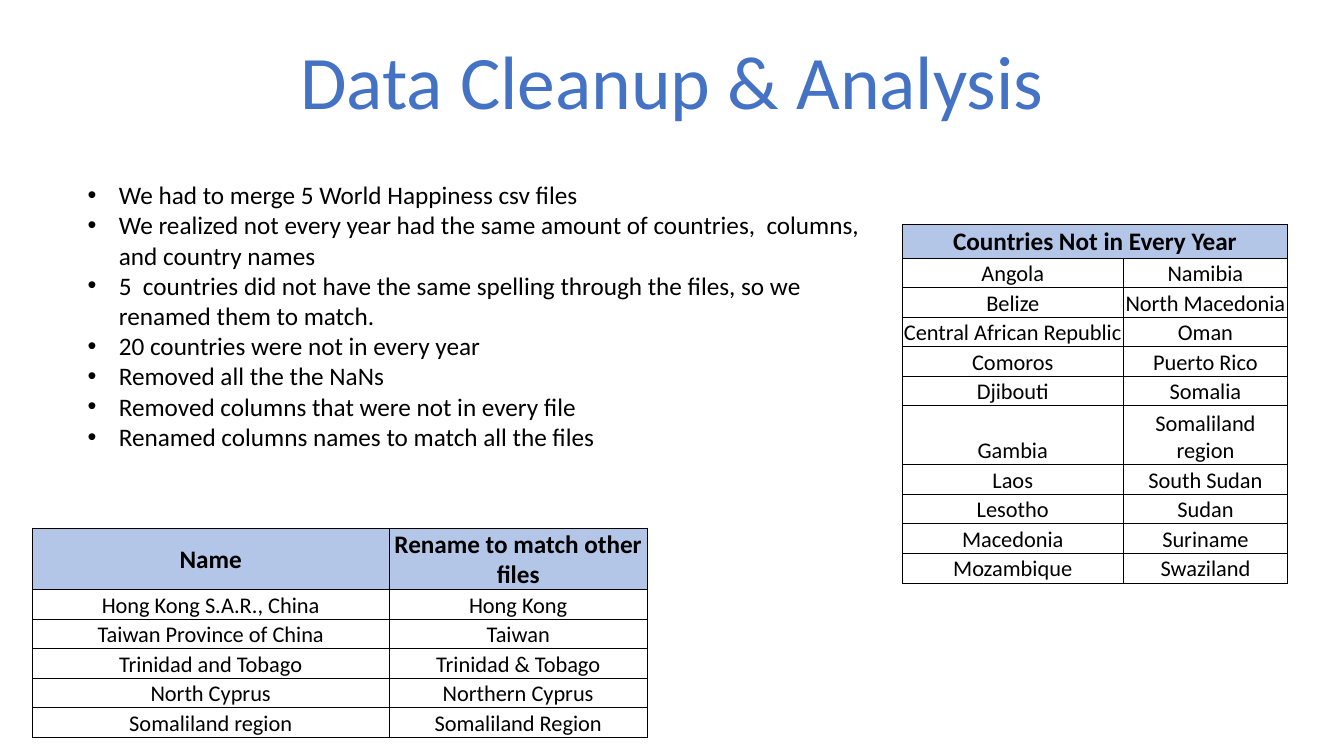
from dataclasses import dataclass

from lxml.etree import SubElement
from pptx import Presentation
from pptx.dml.color import RGBColor
from pptx.enum.text import MSO_ANCHOR, MSO_AUTO_SIZE, PP_ALIGN
from pptx.oxml.ns import qn
from pptx.util import Inches, Pt


@dataclass(frozen=True)
class Theme:
    font: str = "Calibri"
    title: str = "4472C4"
    ink: str = "000000"
    header: str = "B4C6E7"
    title_size: int = 54
    body_size: int = 18
    cell_size: int = 16


theme = Theme()
deck = Presentation()
deck.slide_width = Inches(13.33)
deck.slide_height = Inches(7.5)


def share(across=0, down=0):
    return int(deck.slide_width * across / 100 + deck.slide_height * down / 100)


def write(frame, text, size=theme.body_size, color=theme.ink, bold=False,
          align=PP_ALIGN.LEFT, anchor=MSO_ANCHOR.TOP, bullet=None):
    frame.word_wrap = True
    frame.vertical_anchor = anchor
    for index, line in enumerate(text.split("\n")):
        para = frame.add_paragraph() if index else frame.paragraphs[0]
        para.alignment = align
        span = para.add_run()
        span.text = line
        span.font.name = theme.font
        span.font.size = Pt(size)
        span.font.bold = bold
        span.font.color.rgb = RGBColor.from_string(color)
        if bullet:
            properties = para._p.get_or_add_pPr()
            properties.set("marL", str(Inches(0.31)))
            properties.set("indent", str(-Inches(0.31)))
            SubElement(properties, qn("a:buFont"), typeface="Arial")
            SubElement(properties, qn("a:buChar"), char=bullet)


page = deck.slides.add_slide(deck.slide_layouts[5])
title = page.shapes.title
title.left, title.top = share(across=21.3), share(down=3.73)
title.width, title.height = share(across=57.4), share(down=13.47)
write(title.text_frame, "Data Cleanup & Analysis", size=theme.title_size,
      color=theme.title, align=PP_ALIGN.CENTER, anchor=MSO_ANCHOR.MIDDLE)
title.text_frame.auto_size = MSO_AUTO_SIZE.NONE

steps = """We had to merge 5 World Happiness csv files
We realized not every year had the same amount of countries,  columns, and country names
5  countries did not have the same spelling through the files, so we renamed them to match.
20 countries were not in every year
Removed all the the NaNs
Removed columns that were not in every file
Renamed columns names to match all the files"""
box = page.shapes.add_textbox(share(across=5.78), share(down=23.07),
                              share(across=61.37), share(down=53.87))
write(box.text_frame, steps, bullet="•")

renamed = [
    ("Name", "Rename to match other files"),
    ("Hong Kong S.A.R., China", "Hong Kong"),
    ("Taiwan Province of China", "Taiwan"),
    ("Trinidad and Tobago", "Trinidad & Tobago"),
    ("North Cyprus", "Northern Cyprus"),
    ("Somaliland region", "Somaliland Region"),
]
missing = [
    ("Countries Not in Every Year", ""),
    ("Angola", "Namibia"),
    ("Belize", "North Macedonia"),
    ("Central African Republic", "Oman"),
    ("Comoros", "Puerto Rico"),
    ("Djibouti", "Somalia"),
    ("Gambia", "Somaliland region"),
    ("Laos", "South Sudan"),
    ("Lesotho", "Sudan"),
    ("Macedonia", "Suriname"),
    ("Mozambique", "Swaziland"),
]
tables = [
    (renamed, 2.4, 69.87, (26.56, 19.2), None),
    (missing, 67.14, 29.73, (16.43, 12.25), 6),
]
header_height, row_height = share(down=4.4), share(down=3.91)

for rows, left, top, columns, tall_row in tables:
    height = header_height + row_height * (len(rows) - 1 + bool(tall_row))
    table = page.shapes.add_table(len(rows), len(columns), share(across=left), share(down=top),
                                  share(across=sum(columns)), height).table
    table.first_row = table.horz_banding = False
    for column, width in zip(table.columns, columns):
        column.width = share(across=width)
    if not rows[0][1]:
        table.cell(0, 0).merge(table.cell(0, 1))
    for row, names in enumerate(rows):
        is_header = row == 0
        table.rows[row].height = header_height if is_header else row_height * (1 + (row == tall_row))
        for column, name in enumerate(names):
            cell = table.cell(row, column)
            cell.margin_left = cell.margin_right = cell.margin_top = share(across=0.07)
            cell.margin_bottom = 0
            for side in ("lnL", "lnR", "lnT", "lnB"):
                weight = Pt(1 if is_header and side == "lnT" else 0.5)
                border = SubElement(cell._tc.get_or_add_tcPr(), qn(f"a:{side}"), w=str(weight))
                SubElement(SubElement(border, qn("a:solidFill")), qn("a:srgbClr"), val=theme.ink)
            if is_header:
                cell.fill.solid()
                cell.fill.fore_color.rgb = RGBColor.from_string(theme.header)
            else:
                cell.fill.background()
            cell.vertical_anchor = MSO_ANCHOR.MIDDLE if is_header else MSO_ANCHOR.BOTTOM
            if name:
                write(cell.text_frame, name, size=theme.body_size if is_header else theme.cell_size,
                      bold=is_header, align=PP_ALIGN.CENTER, anchor=None)

deck.save("out.pptx")
